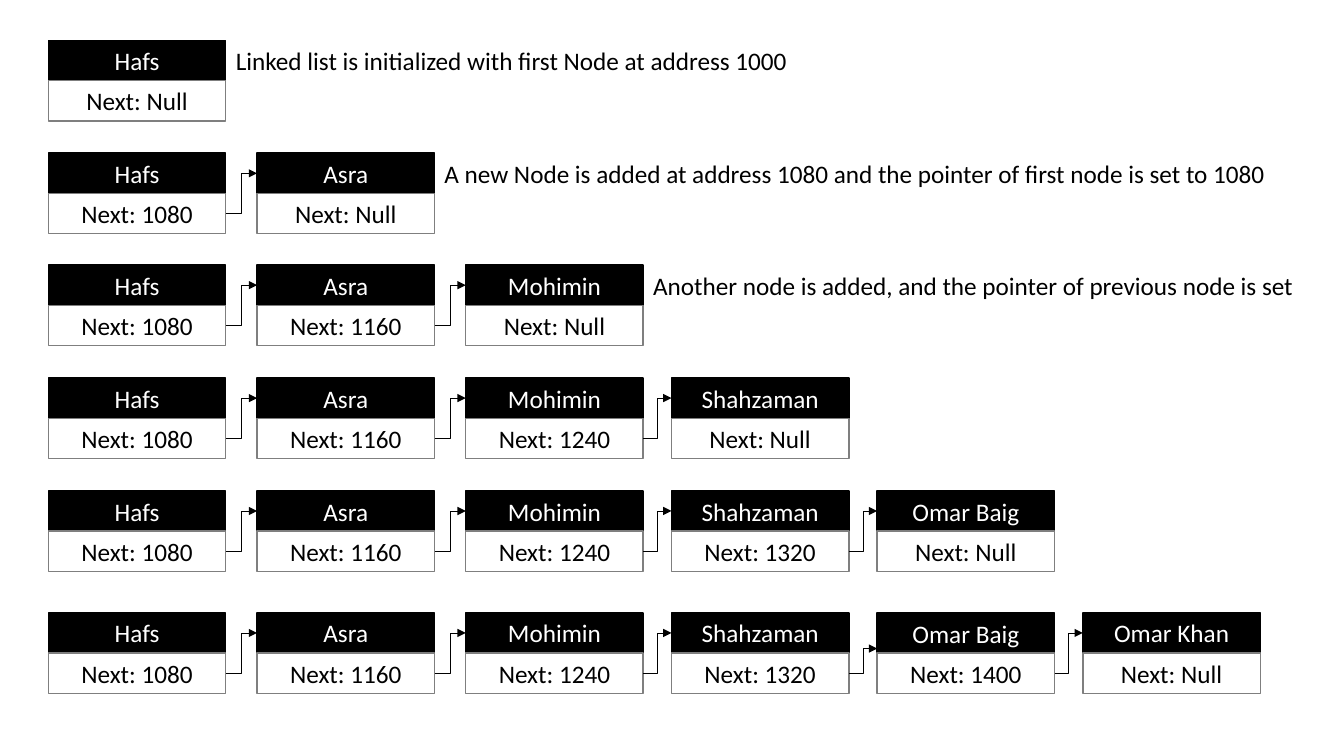
import pptx
import pptx.dml.color
import pptx.enum.shapes
import pptx.enum.text
import pptx.oxml
import pptx.oxml.ns
import pptx.util
from pptx.util import Inches

BLACK = pptx.dml.color.RGBColor(0x00, 0x00, 0x00)
WHITE = pptx.dml.color.RGBColor(0xFF, 0xFF, 0xFF)
GREY = pptx.dml.color.RGBColor(0x7F, 0x7F, 0x7F)

NAMES = ["Hafs", "Asra", "Mohimin", "Shahzaman", "Omar Baig", "Omar Khan"]
NODE_LEFTS = [0.48, 2.55, 4.62, 6.66, 8.7, 10.74]
ROW_TOPS = [0.4, 1.52, 2.63, 3.75, 4.87, 6.08]
CAPTIONS = {
    1: ("Linked list is initialized with first Node at address 1000", 5.74),
    2: ("A new Node is added at address 1080 and the pointer of "
        "first node is set to 1080", 8.44),
    3: ("Another node is added, and the pointer of previous node is set", 6.57),
}
NODE_WIDTH = 1.76
CELL_HEIGHT = 0.4
TALL_HEADER = 0.71
FIRST_ADDRESS = 1000
ADDRESS_STEP = 80


def write_text(box, text, color, align, wrap):
    frame = box.text_frame
    frame.word_wrap = wrap
    frame.vertical_anchor = pptx.enum.text.MSO_ANCHOR.TOP
    paragraph = frame.paragraphs[0]
    paragraph.text = text
    paragraph.alignment = align
    paragraph.font.name = "Calibri"
    paragraph.font.size = pptx.util.Pt(18)
    paragraph.font.color.rgb = color


def add_cell(node, left, top, height, text, fill, line, color):
    cell = node.shapes.add_shape(
        pptx.enum.shapes.MSO_SHAPE.RECTANGLE,
        Inches(left), Inches(top), Inches(NODE_WIDTH), Inches(height))
    cell.shadow.inherit = False
    cell.fill.solid()
    cell.fill.fore_color.rgb = fill
    cell.line.color.rgb = line
    cell.line.width = pptx.util.Pt(1)
    write_text(cell, text, color, pptx.enum.text.PP_ALIGN.CENTER, True)
    return cell


def add_node(slide, left, top, name, pointer, header_height):
    """Add a grouped node and return its name cell and pointer cell."""
    node = slide.shapes.add_group_shape()
    header = add_cell(node, left, top, header_height, name, BLACK, BLACK, WHITE)
    next_cell = add_cell(node, left, top + CELL_HEIGHT, CELL_HEIGHT,
                         f"Next: {pointer}", WHITE, GREY, BLACK)
    return header, next_cell


def add_link(slide, next_cell, header):
    link = slide.shapes.add_connector(
        pptx.enum.shapes.MSO_CONNECTOR.ELBOW,
        next_cell.left + next_cell.width, next_cell.top + next_cell.height // 2,
        header.left, header.top + header.height // 2)
    link.begin_connect(next_cell, 3)
    link.end_connect(header, 1)
    link.line.color.rgb = BLACK
    link.line.width = pptx.util.Pt(0.5)
    # Arrowhead at the next node, and no shadow
    arrowhead = pptx.oxml.parse_xml(
        f'<a:tailEnd {pptx.oxml.ns.nsdecls("a")} type="triangle"/>')
    link.line._get_or_add_ln().append(arrowhead)
    link._element.spPr.append(
        pptx.oxml.parse_xml(f'<a:effectLst {pptx.oxml.ns.nsdecls("a")}/>'))


def add_caption(slide, left, top, text, width):
    caption = slide.shapes.add_textbox(
        Inches(left), Inches(top), Inches(width), Inches(CELL_HEIGHT))
    write_text(caption, text, BLACK, pptx.enum.text.PP_ALIGN.LEFT, False)


def add_linked_list(slide, top, count):
    """Draw the list as it stands once it holds count nodes."""
    previous = None
    for index in range(count):
        is_last = index == count - 1
        pointer = "Null" if is_last else FIRST_ADDRESS + ADDRESS_STEP * (index + 1)
        # The fifth node of the full list has a taller name cell
        is_tall = count == len(NAMES) and index == count - 2
        header, next_cell = add_node(
            slide, NODE_LEFTS[index], top, NAMES[index], pointer,
            TALL_HEADER if is_tall else CELL_HEIGHT)
        if previous is not None:
            add_link(slide, previous, header)
        previous = next_cell


def main():
    prs = pptx.Presentation()
    prs.slide_width, prs.slide_height = Inches(13.33), Inches(7.5)
    slide = prs.slides.add_slide(prs.slide_layouts[6])

    # One row for each stage of the list
    for count, top in enumerate(ROW_TOPS, start=1):
        add_linked_list(slide, top, count)

    # Explanations to the right of the first rows
    for count, (text, width) in CAPTIONS.items():
        add_caption(slide, NODE_LEFTS[count - 1] + NODE_WIDTH,
                    ROW_TOPS[count - 1], text, width)

    prs.save("out.pptx")


if __name__ == "__main__":
    main()
